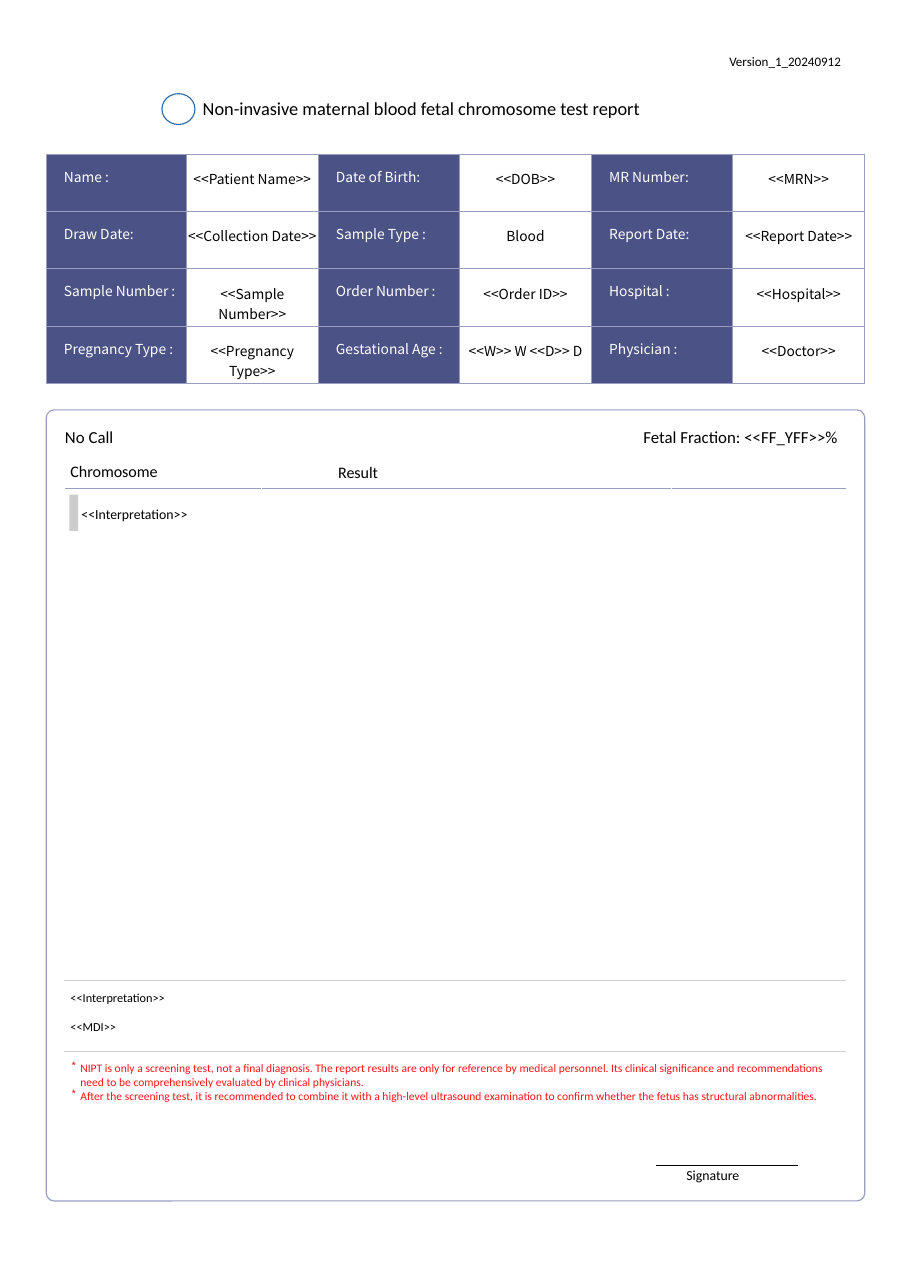
from dataclasses import dataclass

from lxml.etree import SubElement
from pptx import Presentation
from pptx.dml.color import RGBColor
from pptx.enum.shapes import MSO_CONNECTOR, MSO_SHAPE as Preset
from pptx.enum.text import PP_ALIGN as Align
from pptx.oxml.ns import qn
from pptx.util import Pt

PX = 9144  # one hundredth of an inch


@dataclass(frozen=True)
class Theme:
    body_font: str = "Calibri"
    table_font: str = "Noto Sans CJK SC"
    black: str = "000000"
    white: str = "FFFFFF"
    label_fill: str = "4B5285"
    border: str = "999DC0"
    divider: str = "CECECE"
    marker: str = "CCCCCC"
    emblem: str = "2C6BAA"
    warning: str = "FF1317"
    title_size: float = 12
    section_size: float = 11
    heading_size: float = 10.5
    text_size: float = 9
    version_size: float = 8.5
    note_size: float = 8
    warning_size: float = 7.5
    line_width: float = 0.75


theme = Theme()


def add_run(paragraph, text, size, color, font=theme.body_font):
    run = paragraph.add_run()
    run.text = text
    run.font.name = font
    run.font.size = Pt(size)
    run.font.color.rgb = RGBColor.from_string(color)


def add_text(slide, box, inset_top, lines, size, color=theme.black, bullet=None, gap=0):
    left, top, width, height = (length * PX for length in box)
    frame = slide.shapes.add_textbox(left, top, width, height).text_frame
    frame.word_wrap = True
    frame.margin_left = frame.margin_right = frame.margin_bottom = 0
    frame.margin_top = inset_top * PX
    for index, line in enumerate(lines):
        paragraph = frame.add_paragraph() if index else frame.paragraphs[0]
        if index and gap:
            paragraph.space_before = Pt(gap)
        properties = paragraph._p.get_or_add_pPr()
        if bullet:
            properties.set("marL", str(10 * PX))
            properties.set("indent", str(-8 * PX))
            bullet_color = SubElement(properties, qn("a:buClr"))
            SubElement(bullet_color, qn("a:srgbClr"), val=color)
            SubElement(properties, qn("a:buChar"), char=bullet)
        else:
            properties.set("marL", str(PX))
            properties.set("indent", "0")
        add_run(paragraph, line, size, color)


presentation = Presentation()
presentation.slide_width = 826 * PX
presentation.slide_height = 1169 * PX
slide = presentation.slides.add_slide(presentation.slide_layouts[6])

# Emblem, result panel and interpretation marker
outlined_shapes = [
    (Preset.OVAL, (147, 85, 30, 28), None, theme.emblem),
    (Preset.ROUNDED_RECTANGLE, (42, 372, 743, 718), None, theme.border),
    (Preset.RECTANGLE, (63, 449, 8, 33), theme.marker, None),
]
for preset, box, fill, line in outlined_shapes:
    shape = slide.shapes.add_shape(preset, *(length * PX for length in box))
    shape.shadow.inherit = False
    if preset == Preset.ROUNDED_RECTANGLE:
        shape.adjustments[0] = 0.01
    if fill:
        shape.fill.solid()
        shape.fill.fore_color.rgb = RGBColor.from_string(fill)
    else:
        shape.fill.background()
    if line:
        shape.line.color.rgb = RGBColor.from_string(line)
        shape.line.width = Pt(theme.line_width)
    else:
        shape.line.fill.background()

# Patient table: label and value columns alternate
patient_rows = [
    ["Name :", "<<Patient Name>>", "Date of Birth:", "<<DOB>>", "MR Number:", "<<MRN>>"],
    ["Draw Date:", "<<Collection Date>>", "Sample Type :", "Blood", "Report Date:", "<<Report Date>>"],
    ["Sample Number :", "<<Sample Number>>", "Order Number :", "<<Order ID>>", "Hospital :", "<<Hospital>>"],
    ["Pregnancy Type :", "<<Pregnancy Type>>", "Gestational Age :", "<<W>> W <<D>> D", "Physician :", "<<Doctor>>"],
]
column_widths = [127, 120, 128, 120, 128, 120]
table = slide.shapes.add_table(
    len(patient_rows), len(column_widths), 42 * PX, 140 * PX, 743 * PX, 208 * PX
).table
table.first_row = table.horz_banding = False
for column, width in zip(table.columns, column_widths):
    column.width = width * PX
for row_index, row in enumerate(patient_rows):
    table.rows[row_index].height = 52 * PX
    for column_index, text in enumerate(row):
        cell = table.cell(row_index, column_index)
        is_label = column_index % 2 == 0
        cell.margin_left = 16 * PX if is_label else 0
        cell.margin_right = cell.margin_bottom = 0
        cell.margin_top = (11 if is_label else 13) * PX
        cell_properties = cell._tc.get_or_add_tcPr()
        for side in ("a:lnL", "a:lnR", "a:lnT", "a:lnB"):
            border = SubElement(cell_properties, qn(side), w=str(Pt(theme.line_width)))
            border_fill = SubElement(border, qn("a:solidFill"))
            SubElement(border_fill, qn("a:srgbClr"), val=theme.border)
        paragraph = cell.text_frame.paragraphs[0]
        if is_label:
            cell.fill.solid()
            cell.fill.fore_color.rgb = RGBColor.from_string(theme.label_fill)
        else:
            cell.fill.background()
            paragraph.alignment = Align.CENTER
        text_color = theme.white if is_label else theme.black
        add_run(paragraph, text, theme.text_size, text_color, theme.table_font)

# Horizontal rules: header segments, note dividers, signature
rules = [
    (59, 237, 443, theme.border),
    (238, 609, 443, theme.border),
    (610, 768, 443, theme.border),
    (58, 768, 890, theme.divider),
    (58, 768, 954, theme.divider),
    (595, 724, 1058, theme.black),
]
for start, end, y, color in rules:
    rule = slide.shapes.add_connector(
        MSO_CONNECTOR.STRAIGHT, start * PX, y * PX, end * PX, y * PX
    )
    rule.line.color.rgb = RGBColor.from_string(color)
    rule.line.width = Pt(theme.line_width)
    SubElement(rule._element.spPr, qn("a:effectLst"))

# Single-line texts
single_lines = [
    ((661, 47, 130, 16), 2, "Version_1_20240912", theme.version_size),
    ((183, 86, 541, 22), 2, "Non-invasive maternal blood fetal chromosome test report", theme.title_size),
    ((58, 385, 221, 20), 2, "No Call", theme.section_size),
    ((583, 385, 214, 20), 2, "Fetal Fraction: <<FF_YFF>>%", theme.section_size),
    ((63, 418, 117, 19), 1, "Chromosome", theme.heading_size),
    ((306, 419, 67, 19), 1, "Result", theme.heading_size),
    ((73, 457, 177, 17), 2, "<<Interpretation>>", theme.text_size),
    ((622, 1058, 71, 17), 1, "Signature", theme.text_size),
]
for box, inset_top, text, size in single_lines:
    add_text(slide, box, inset_top, [text], size)

# Interpretation notes and screening warnings
add_text(slide, (63, 895, 699, 45), 4, ["<<Interpretation>>", "<<MDI>>"], theme.note_size, gap=9.5)
warnings = [
    "NIPT is only a screening test, not a final diagnosis. The report results are only for "
    "reference by medical personnel. Its clinical significance and recommendations need to be "
    "comprehensively evaluated by clinical physicians.",
    "After the screening test, it is recommended to combine it with a high-level ultrasound "
    "examination to confirm whether the fetus has structural abnormalities.",
]
add_text(slide, (63, 959, 704, 42), 4, warnings, theme.warning_size, theme.warning, bullet="*")

presentation.save("out.pptx")
